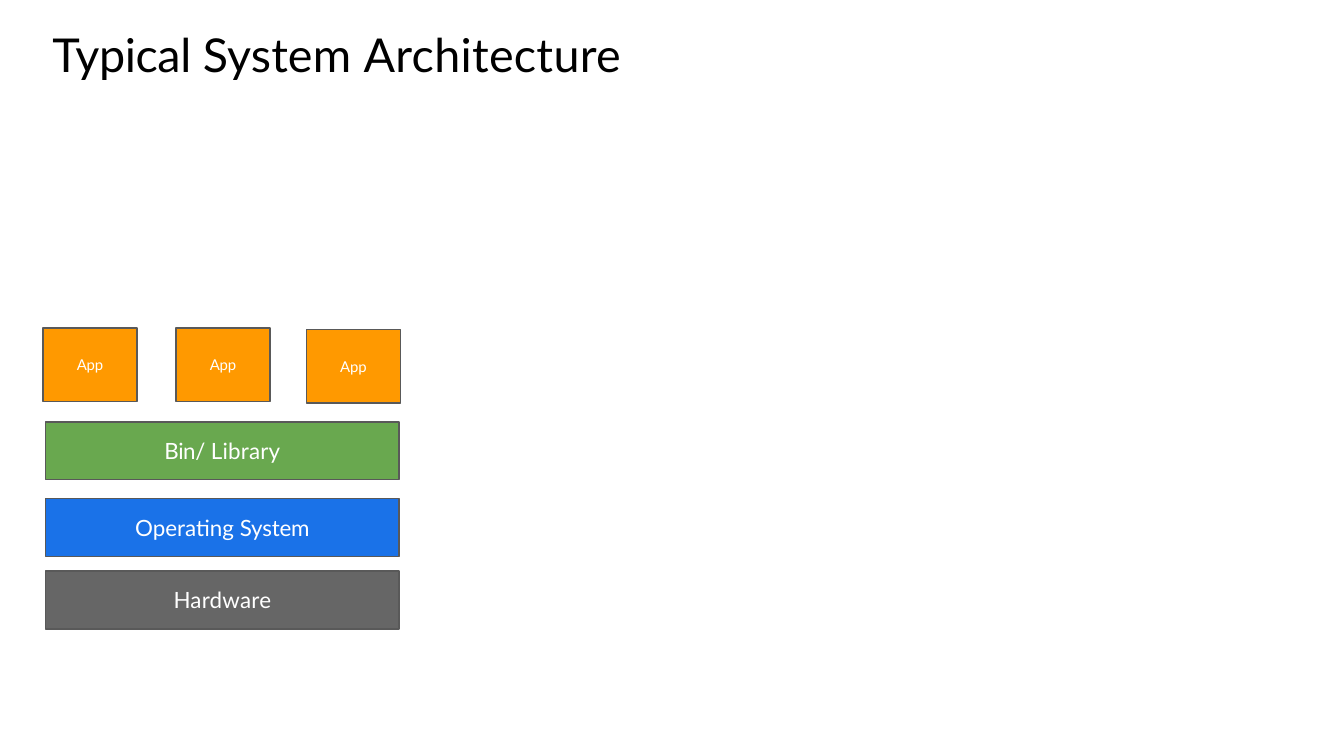
from dataclasses import dataclass

from pptx import Presentation
from pptx import util as u
from pptx.dml import color
from pptx.enum import shapes, text


@dataclass(frozen=True)
class Theme:
    font: str = "Lato"
    ink: str = "000000"
    white: str = "FFFFFF"
    edge: str = "595959"
    app: str = "FF9900"
    lib: str = "69A84F"
    system: str = "1A72E8"
    hard: str = "666666"
    title: float = 25
    layer: float = 12
    small: float = 8


THEME = Theme()


def rgb(code):
    return color.RGBColor.from_string(code)


def apply(item, values):
    for name, value in values.items():
        setattr(item, name, value)


def write(shape, runs, size, ink, frame, align):
    base = {"margin_left": 0, "margin_top": 0, "margin_right": 0, "margin_bottom": 0}
    apply(shape.text_frame, base | frame)
    para = shape.text_frame.paragraphs[0]
    para.alignment = align
    for words, gap in runs:
        run = para.add_run()
        run.text = words
        apply(run.font, {"name": THEME.font, "size": u.Pt(size)})
        run.font.color.rgb = rgb(ink)
        run._r.get_or_add_rPr().set("spc", str(gap))


def block(slide, box, runs, fill, size):
    shape = slide.shapes.add_shape(
        shapes.MSO_SHAPE.RECTANGLE, *map(u.Inches, box))
    shape.shadow.inherit = False
    shape.fill.solid()
    shape.fill.fore_color.rgb = rgb(fill)
    shape.line.color.rgb = rgb(THEME.edge)
    shape.line.width = u.Pt(0.75)
    frame = {"word_wrap": True, "vertical_anchor": text.MSO_ANCHOR.MIDDLE}
    write(shape, runs, size, THEME.white, frame, text.PP_ALIGN.CENTER)


def title(slide, box, runs):
    shape = slide.shapes.add_textbox(*map(u.Inches, box))
    frame = {"word_wrap": False, "margin_left": u.Inches(0.01),
             "margin_top": u.Inches(0.02)}
    write(shape, runs, THEME.title, THEME.ink, frame, text.PP_ALIGN.LEFT)


def apps(slide, box, drops):
    left, top, width, height = box
    for shift, drop in drops:
        block(slide, (left + shift, top + drop, width, height),
              [("App", -10)], THEME.app, THEME.small)


def layers(slide, box):
    left, top, width, height = box
    rows = (
        (0, [("Bin/ ", -20), ("Library", 10)], THEME.lib),
        (0.57, [("Operating ", 0), ("System", -10)], THEME.system),
        (1.11, [("Hardware", 10)], THEME.hard),
    )
    for drop, runs, fill in rows:
        block(slide, (left, top + drop, width, height - rows[-1][0]),
              runs, fill, THEME.layer)


def main():
    deck = Presentation()
    wide = u.Inches(10)
    apply(deck, {"slide_width": wide, "slide_height": wide * 9 // 16})
    slide = deck.slides.add_slide(deck.slide_layouts[6])
    layers(slide, (0.34, 3.14, 2.63, 1.54))
    apps(slide, (0.32, 2.44, 0.7, 0.55), ((0, 0), (0.99, 0), (1.96, 0.01)))
    title(slide, (0.38, 0.17, 4.3, 0.45),
          [("Typical ", -20), ("System ", 10), ("Architecture", 20)])
    deck.save("out.pptx")


if __name__ == "__main__":
    main()
